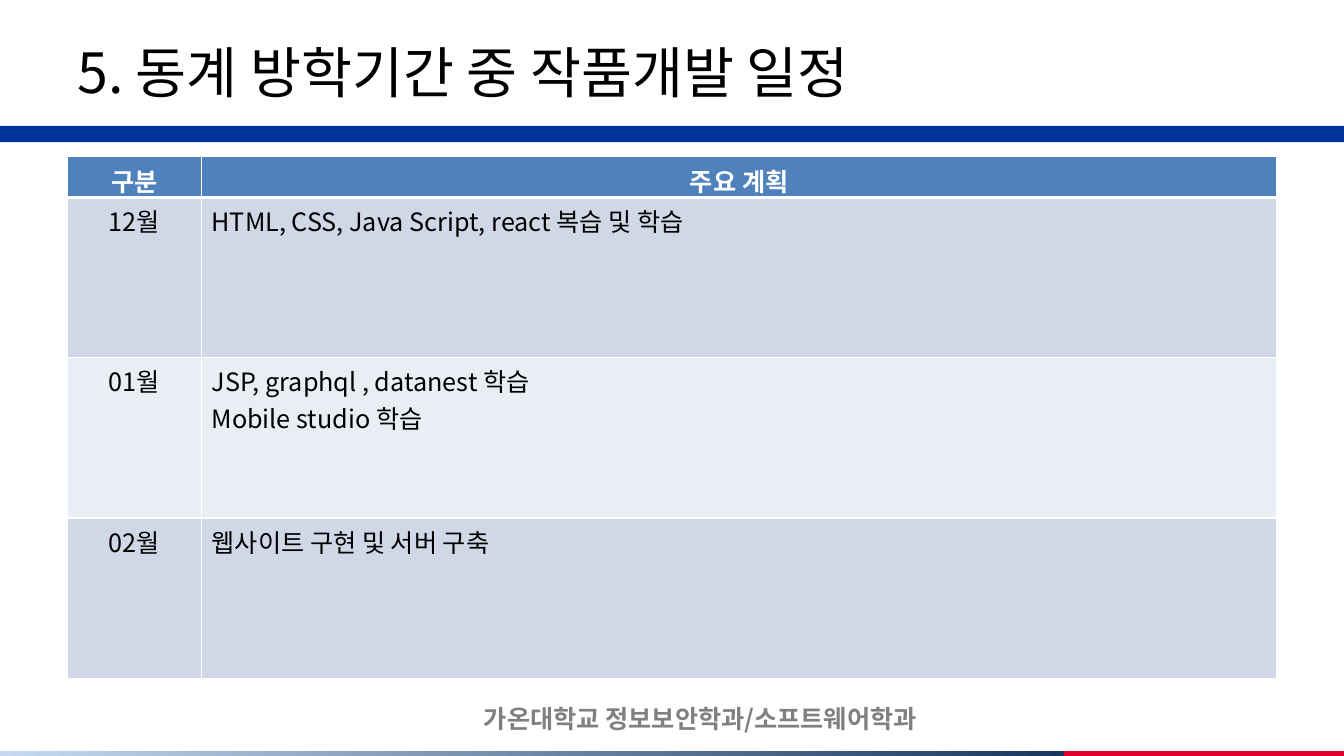
import pptx
import pptx.util
import pptx.dml.color
import pptx.enum.shapes
import pptx.enum.text
import pptx.oxml
import pptx.oxml.ns

Pt = pptx.util.Pt
RGBColor = pptx.dml.color.RGBColor
ALIGN = pptx.enum.text.PP_ALIGN
ANCHOR = pptx.enum.text.MSO_ANCHOR

FONT = "Noto Sans CJK KR"
BLACK = RGBColor(0x00, 0x00, 0x00)
WHITE = RGBColor(0xFF, 0xFF, 0xFF)
GRAY = RGBColor(0x80, 0x80, 0x80)
BLUE = RGBColor(0x00, 0x33, 0x99)
RED = RGBColor(0xE6, 0x00, 0x2D)
SKY = RGBColor(0xC6, 0xD9, 0xF1)
NAVY = RGBColor(0x17, 0x37, 0x5E)
HEADER_FILL = RGBColor(0x4F, 0x81, 0xBD)
BAND_FILLS = (RGBColor(0xE9, 0xED, 0xF4), RGBColor(0xD0, 0xD8, 0xE8))

TITLE = "5. 동계 방학기간 중 작품개발 일정"
FOOTER = "가온대학교 정보보안학과/소프트웨어학과"
SCHEDULE = [
    ("구분", ["주요 계획"]),
    ("12월", ["HTML, CSS, Java Script, react 복습 및 학습"]),
    ("01월", ["JSP, graphql , datanest 학습", "Mobile studio 학습"]),
    ("02월", ["웹사이트 구현 및 서버 구축"]),
]

SLIDE_WIDTH, SLIDE_HEIGHT = 960, 540
MARGIN = 48
CONTENT_WIDTH = SLIDE_WIDTH - 2 * MARGIN
COLUMN_WIDTHS = (96, CONTENT_WIDTH - 96)
HEADER_HEIGHT, MONTH_HEIGHT = 29, 114.5
STRIP_HEIGHT = 3.5
STRIP_TOP = SLIDE_HEIGHT - STRIP_HEIGHT
STRIP_SPLIT = 760


def write(frame, lines, alignment, **font_format):
    for index, line in enumerate(lines):
        paragraph = frame.paragraphs[0] if index == 0 else frame.add_paragraph()
        paragraph.alignment = alignment
        run = paragraph.add_run()
        run.text = line
        color = font_format["color"]
        values = {"name": FONT, "size": Pt(font_format["size"]), "bold": font_format.get("bold", False)}
        for name, value in values.items():
            setattr(run.font, name, value)
        run.font.color.rgb = color
        east_asian = pptx.oxml.parse_xml(f'<a:ea {pptx.oxml.ns.nsdecls("a")} typeface="{FONT}"/>')
        run.font._element.append(east_asian)


def add_bar(slide, left, top, width, height, color):
    bar = slide.shapes.add_shape(
        pptx.enum.shapes.MSO_SHAPE.RECTANGLE, Pt(left), Pt(top), Pt(width), Pt(height)
    )
    bar.shadow.inherit = False
    bar.line.fill.background()
    bar.fill.solid()
    bar.fill.fore_color.rgb = color
    return bar


def set_borders(cell, widths):
    properties = cell._tc.get_or_add_tcPr()
    for index, (side, width) in enumerate(widths.items()):
        border = pptx.oxml.parse_xml(
            f'<a:ln{side} {pptx.oxml.ns.nsdecls("a")} w="{Pt(width)}">'
            f'<a:solidFill><a:srgbClr val="{WHITE}"/></a:solidFill></a:ln{side}>'
        )
        properties.insert(index, border)


def add_footer(slide):
    box = slide.shapes.add_textbox(Pt(290), Pt(499), Pt(420.5), Pt(29))
    box.text_frame.word_wrap = True
    write(box.text_frame, [FOOTER], ALIGN.CENTER, size=18, color=GRAY, bold=True)


def add_bars(slide):
    add_bar(slide, 0, 90, SLIDE_WIDTH, 11.5, BLUE)
    gradient = add_bar(slide, 0, STRIP_TOP, STRIP_SPLIT, STRIP_HEIGHT, SKY).fill
    gradient.gradient()
    gradient.gradient_angle = 0
    for stop, color in zip(gradient.gradient_stops, (SKY, NAVY)):
        stop.color.rgb = color
    add_bar(slide, STRIP_SPLIT, STRIP_TOP, SLIDE_WIDTH - STRIP_SPLIT, STRIP_HEIGHT, RED)


def add_title(slide):
    title = slide.shapes.title
    place = {"left": MARGIN, "top": 21.5, "width": CONTENT_WIDTH, "height": 58.5}
    for name, value in place.items():
        setattr(title, name, Pt(value))
    title.text_frame.auto_size = pptx.enum.text.MSO_AUTO_SIZE.NONE
    title.text_frame.vertical_anchor = ANCHOR.MIDDLE
    write(title.text_frame, [TITLE], ALIGN.LEFT, size=39.6, color=BLACK)


def add_schedule(slide):
    heights = [HEADER_HEIGHT] + [MONTH_HEIGHT] * (len(SCHEDULE) - 1)
    table = slide.shapes.add_table(
        len(SCHEDULE), len(COLUMN_WIDTHS), Pt(MARGIN), Pt(112), Pt(CONTENT_WIDTH), Pt(sum(heights))
    ).table
    for column, width in zip(table.columns, COLUMN_WIDTHS):
        column.width = Pt(width)
    for row_index, (label, plans) in enumerate(SCHEDULE):
        table.rows[row_index].height = Pt(heights[row_index])
        header = row_index == 0
        for column_index, lines in enumerate(([label], plans)):
            cell = table.cell(row_index, column_index)
            cell.fill.solid()
            cell.fill.fore_color.rgb = HEADER_FILL if header else BAND_FILLS[row_index % 2]
            set_borders(cell, {"L": 1, "R": 1, "T": 3 if row_index == 1 else 1, "B": 3 if header else 1})
            alignment = ALIGN.CENTER if header or column_index == 0 else ALIGN.LEFT
            write(cell.text_frame, lines, alignment, size=18, color=WHITE if header else BLACK, bold=header)


def main():
    presentation = pptx.Presentation()
    presentation.slide_width = Pt(SLIDE_WIDTH)
    presentation.slide_height = Pt(SLIDE_HEIGHT)
    slide = presentation.slides.add_slide(presentation.slide_layouts[5])
    add_footer(slide)
    add_bars(slide)
    add_title(slide)
    add_schedule(slide)
    presentation.save("out.pptx")


if __name__ == "__main__":
    main()
